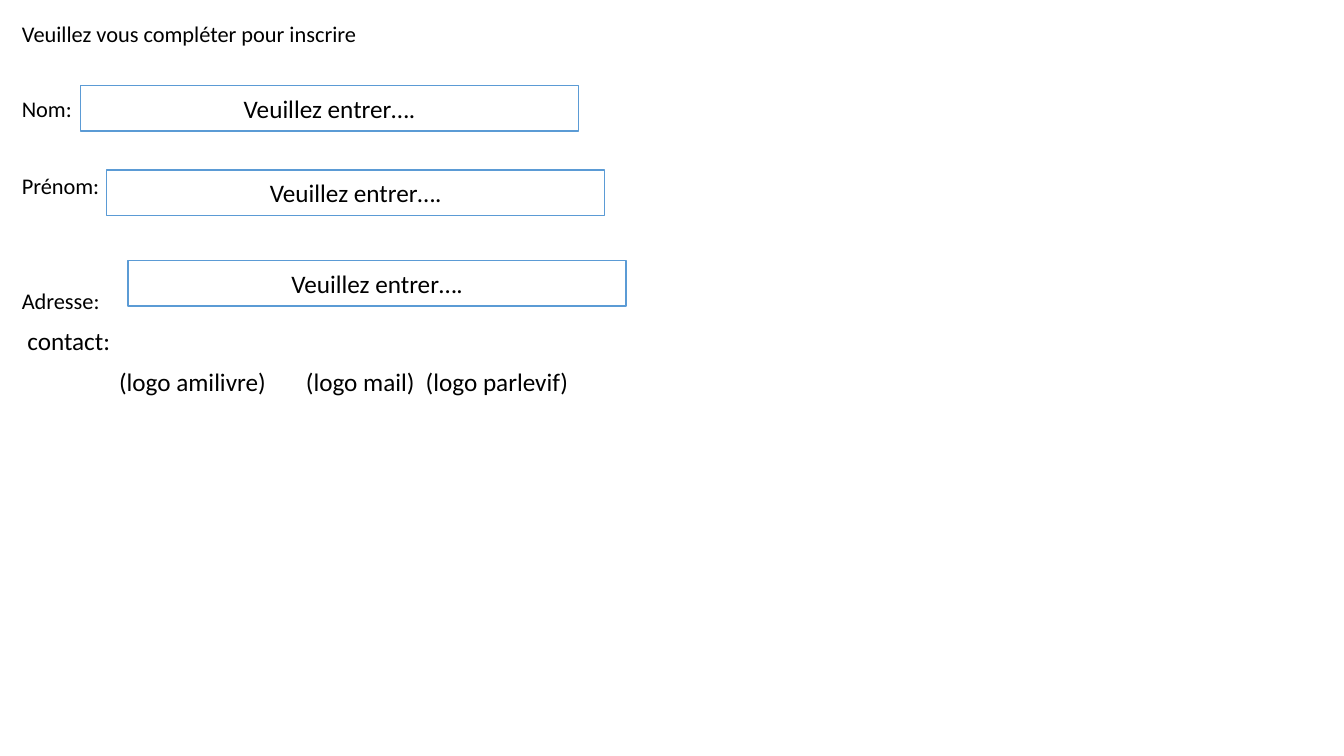
from lxml import etree
from pptx import Presentation
from pptx.dml.color import RGBColor
from pptx.enum.shapes import MSO_SHAPE
from pptx.enum.text import MSO_ANCHOR, MSO_AUTO_SIZE, PP_ALIGN
from pptx.oxml.ns import qn
from pptx.util import Cm, Pt

RECTANGLE = MSO_SHAPE.RECTANGLE
TOP, MIDDLE = MSO_ANCHOR.TOP, MSO_ANCHOR.MIDDLE
LEFT, CENTER = PP_ALIGN.LEFT, PP_ALIGN.CENTER
NO_AUTOFIT = MSO_AUTO_SIZE.NONE

FONT = "Calibri"
COLORS = {"text": "000000", "field": "FFFFFF", "border": "5B9BD5"}
TITLE = "Veuillez vous compléter pour inscrire"
PROMPT = "Veuillez entrer…."

# Label, size in points, space before in points, indent in cm
LABELS = [
    ("Nom:", 16, 0, 0),
    ("Prénom:", 16, 37.5, 0),
    ("Adresse:", 16, 65, 0),
    ("contact:", 18, 10, 0.14),
    ("\t(logo amilivre)\t(logo mail)\t(logo parlevif)", 18, 10, 0),
]
LOGO_TABS = [2.45, 7.16, 10.18]

# Left and top of each input field, in cm
FIELDS = [(2.03, 2.15), (2.69, 4.28), (3.23, 6.56)]
FIELD_SIZE = (12.55, 1.15)


def color(name):
    return RGBColor.from_string(COLORS[name])


def format_para(para, size, align=LEFT):
    para.alignment = align
    para.font.name = FONT
    para.font.size = Pt(size)
    para.font.color.rgb = color("text")


def set_frame(frame, anchor):
    frame.word_wrap = True
    frame.auto_size = NO_AUTOFIT
    frame.vertical_anchor = anchor


def set_tabs(para, positions):
    props = para._p.get_or_add_pPr()
    tabs = etree.Element(qn("a:tabLst"))
    for position in positions:
        etree.SubElement(tabs, qn("a:tab"), pos=str(Cm(position)), algn="l")
    # Tab stops come before the default run properties
    defaults = props.find(qn("a:defRPr"))
    if defaults is None:
        props.append(tabs)
    else:
        defaults.addprevious(tabs)


def add_title(page, left, top, width, height):
    title = page.shapes.title
    title.left, title.top = Cm(left), Cm(top)
    title.width, title.height = Cm(width), Cm(height)
    set_frame(title.text_frame, TOP)
    title.text_frame.text = TITLE
    para = title.text_frame.paragraphs[0]
    format_para(para, 16)
    para.line_spacing = 0.9
    para.space_before = Pt(0)


def add_labels(page, left, top, width, height):
    box = page.shapes.add_textbox(Cm(left), Cm(top), Cm(width), Cm(height))
    frame = box.text_frame
    set_frame(frame, TOP)
    for index, (label, size, gap, indent) in enumerate(LABELS):
        para = frame.add_paragraph() if index else frame.paragraphs[0]
        para.text = label
        format_para(para, size)
        para.line_spacing = 0.9
        para.space_before = Pt(gap)
        para._p.get_or_add_pPr().set("marL", str(Cm(indent)))
    set_tabs(para, LOGO_TABS)


def add_field(page, left, top, width, height):
    field = page.shapes.add_shape(
        RECTANGLE, Cm(left), Cm(top), Cm(width), Cm(height))
    field.shadow.inherit = False
    field.fill.solid()
    field.fill.fore_color.rgb = color("field")
    field.line.color.rgb = color("border")
    field.line.width = Pt(1)
    set_frame(field.text_frame, MIDDLE)
    field.text_frame.text = PROMPT
    format_para(field.text_frame.paragraphs[0], 18, CENTER)


def build_form(deck):
    page = deck.slides.add_slide(deck.slide_layouts[5])
    add_title(page, 0.3, 0.46, 33.17, 1)
    add_labels(page, 0.3, 2.36, 33.17, 10.2)
    for left, top in FIELDS:
        add_field(page, left, top, *FIELD_SIZE)


def main():
    deck = Presentation()
    deck.slide_width, deck.slide_height = Cm(33.87), Cm(19.05)
    build_form(deck)
    deck.save("out.pptx")


if __name__ == "__main__":
    main()
